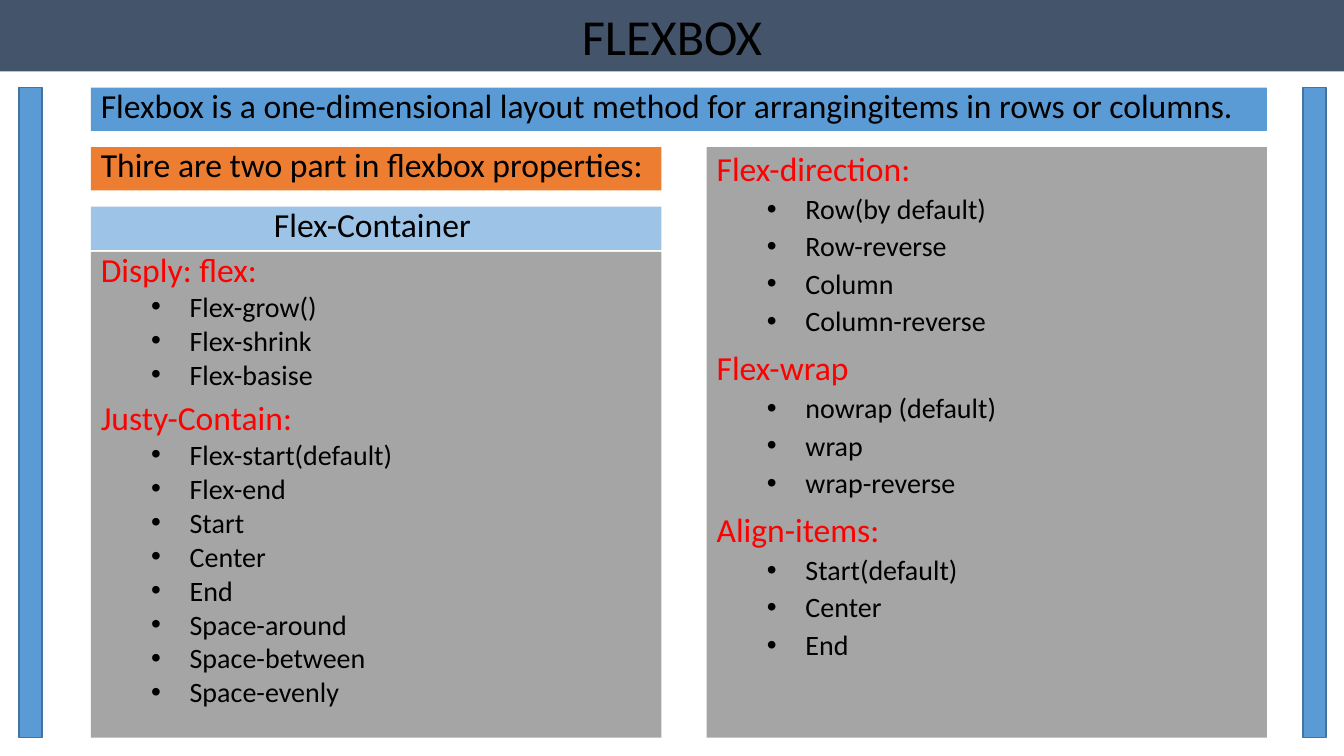
"""Build the FLEXBOX summary slide."""
from dataclasses import dataclass

from lxml.etree import SubElement
from pptx import Presentation
from pptx.dml.color import RGBColor
from pptx.enum.shapes import MSO_SHAPE
from pptx.enum.text import MSO_ANCHOR, MSO_AUTO_SIZE, PP_ALIGN
from pptx.oxml.ns import qn
from pptx.util import Cm, Pt

FONT = "Calibri"
BLACK, RED, BLUE, GREY = "000000", "FF0000", "5B9BD5", "A5A5A5"
LEFT, TOP, BOTTOM, ROW_STEP, ROW_H = 2.29, 2.21, 18.59, 1.5, 1.09
FULL_W, LEFT_W, RIGHT_X, RIGHT_W = 29.64, 14.38, 17.81, 14.12
PANEL_Y = 6.35


@dataclass
class Box:
    x: float
    y: float
    w: float
    h: float
    fill: str
    line: str | None = None


@dataclass
class Banner:
    box: Box
    text: str
    align: PP_ALIGN = PP_ALIGN.LEFT


@dataclass
class Panel:
    box: Box
    spacing: float
    groups: dict[str, list[str]]


BANNERS = [
    Banner(Box(LEFT, TOP, FULL_W, ROW_H, BLUE),
           "Flexbox is a one-dimensional layout method for arrangingitems in rows or columns."),
    Banner(Box(LEFT, TOP + ROW_STEP, LEFT_W, ROW_H, "ED7D31"),
           "Thire are two part in flexbox properties:"),
    Banner(Box(LEFT, TOP + 2 * ROW_STEP, LEFT_W, ROW_H, "9DC3E6"),
           "Flex-Container ", PP_ALIGN.CENTER),
]
SIDE_BARS = [Box(x, TOP, 0.58, BOTTOM - TOP, BLUE, "43739E") for x in (0.48, 32.84)]
PANELS = [
    Panel(Box(LEFT, PANEL_Y, LEFT_W, BOTTOM - PANEL_Y, GREY), 0.8, {
        "Disply: flex:": ["Flex-grow()", "Flex-shrink", "Flex-basise"],
        "Justy-Contain:": ["Flex-start(default)", "Flex-end", "Start", "Center", "End",
                           "Space-around", "Space-between", "Space-evenly"],
    }),
    Panel(Box(RIGHT_X, TOP + ROW_STEP, RIGHT_W, BOTTOM - TOP - ROW_STEP, GREY), 0.9, {
        "Flex-direction:": ["Row(by default)", "Row-reverse", "Column", "Column-reverse"],
        "Flex-wrap": ["nowrap (default)", "wrap", "wrap-reverse"],
        "Align-items:": ["Start(default)", "Center", "End"],
    }),
]


def rgb(value: str) -> RGBColor:
    """Turn a hex string into a colour."""
    return RGBColor.from_string(value)


def paint(s, fill: str) -> None:
    """Give a shape a solid fill."""
    s.fill.solid()
    s.fill.fore_color.rgb = rgb(fill)


def add_box(slide, box: Box):
    """Draw a rectangle and return it."""
    s = slide.shapes.add_shape(MSO_SHAPE.RECTANGLE, Cm(box.x), Cm(box.y), Cm(box.w), Cm(box.h))
    s.shadow.inherit = False
    paint(s, box.fill)
    if box.line:
        s.line.color.rgb = rgb(box.line)
        s.line.width = Pt(1)
    else:
        s.line.fill.background()
    tf = s.text_frame
    tf.word_wrap = True
    tf.vertical_anchor = MSO_ANCHOR.TOP
    return s


def style(p, size: float, color: str, spacing: float, align: PP_ALIGN = PP_ALIGN.LEFT) -> None:
    """Set font, line spacing and alignment of a paragraph."""
    p.alignment = align
    p.line_spacing = spacing
    p.font.name = FONT
    p.font.size = Pt(size)
    p.font.color.rgb = rgb(color)


def add_bullet(p) -> None:
    """Give a paragraph a hanging bullet."""
    p.level = 1
    props = p._p.get_or_add_pPr()
    props.set("marL", str(Cm(2.24)))
    props.set("indent", str(Cm(-0.97)))
    SubElement(props, qn("a:buFont"), typeface="Arial")
    SubElement(props, qn("a:buChar"), char="•")


def add_banner(slide, banner: Banner) -> None:
    """Draw a one-line banner."""
    p = add_box(slide, banner.box).text_frame.paragraphs[0]
    p.text = banner.text
    style(p, 24, BLACK, 0.8, banner.align)


def add_panel(slide, panel: Panel) -> None:
    """Draw a panel of headings with bulleted values."""
    tf = add_box(slide, panel.box).text_frame
    for i, (heading, values) in enumerate(panel.groups.items()):
        p = tf.add_paragraph() if i else tf.paragraphs[0]
        p.text = heading
        if i:
            p.space_before = Pt(10)
        style(p, 24, RED, panel.spacing)
        for value in values:
            p = tf.add_paragraph()
            p.text = value
            add_bullet(p)
            p.space_before = Pt(5)
            style(p, 20, BLACK, panel.spacing)


def add_title(slide, text: str, width: int) -> None:
    """Place and format the title placeholder."""
    s = slide.shapes.title
    s.left, s.top, s.width, s.height = 0, 0, width, Cm(1.8)
    paint(s, "44546A")
    tf = s.text_frame
    tf.text = text
    tf.auto_size = MSO_AUTO_SIZE.NONE
    tf.vertical_anchor = MSO_ANCHOR.BOTTOM
    style(tf.paragraphs[0], 36, BLACK, 0.9, PP_ALIGN.CENTER)


def main() -> None:
    """Build and save the presentation."""
    prs = Presentation()
    prs.slide_width, prs.slide_height = Cm(33.87), Cm(19.05)
    slide = prs.slides.add_slide(prs.slide_layouts[5])
    add_title(slide, "FLEXBOX", prs.slide_width)
    for banner in BANNERS:
        add_banner(slide, banner)
    for bar in SIDE_BARS:
        add_box(slide, bar)
    for panel in PANELS:
        add_panel(slide, panel)
    prs.save("out.pptx")


if __name__ == "__main__":
    main()
